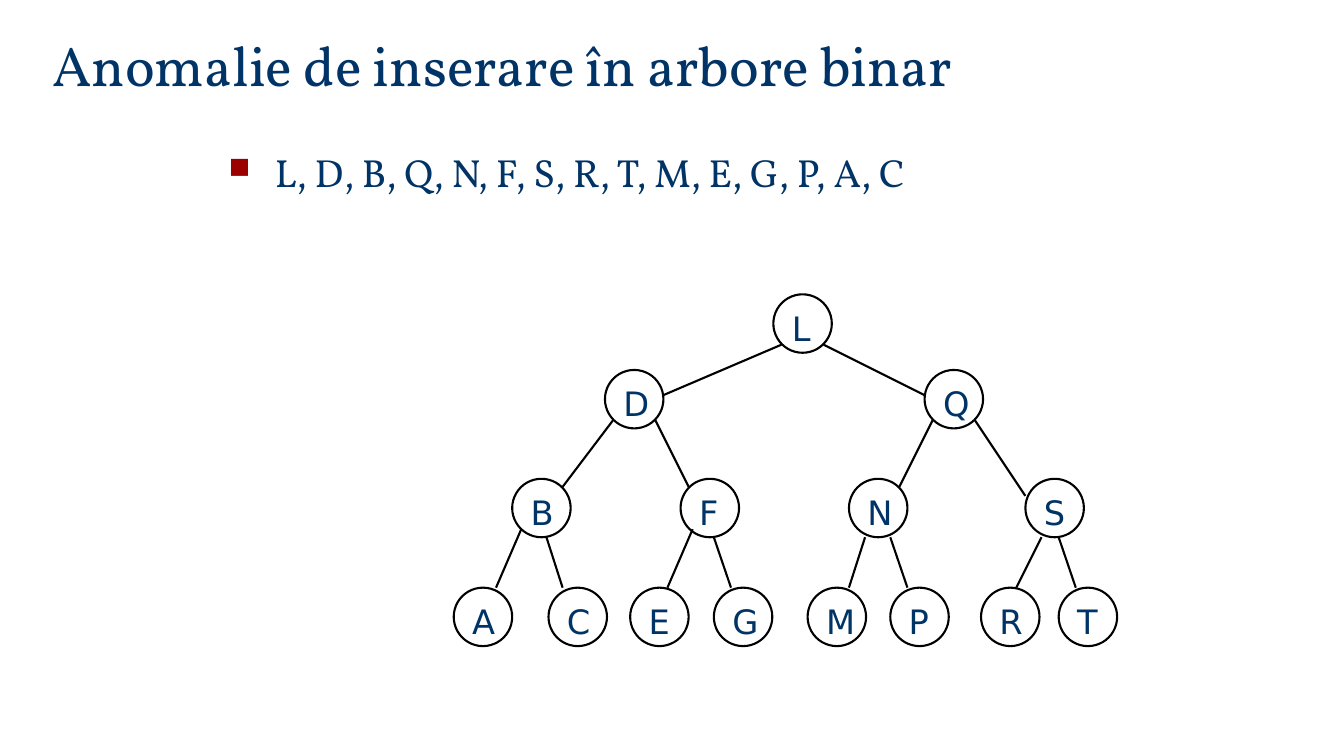
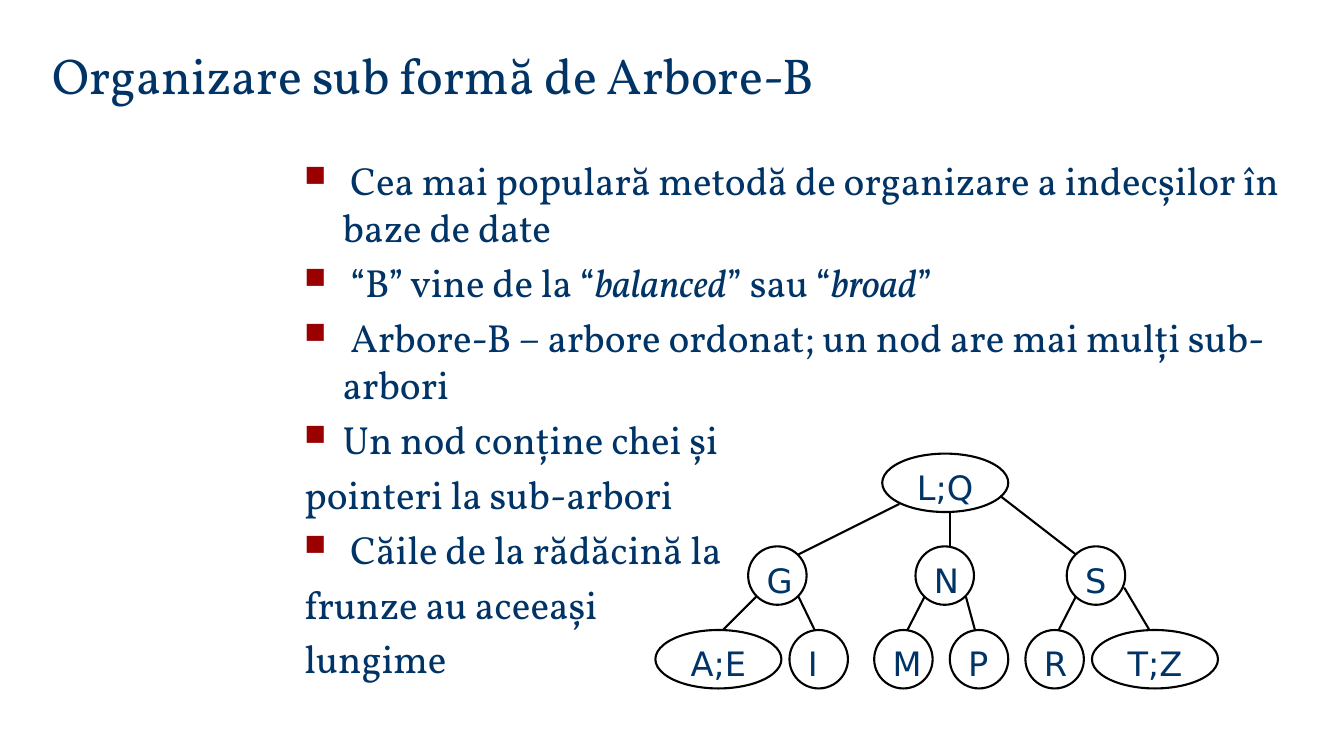
import pptx
import pptx.dml.color
import pptx.enum.shapes
import pptx.enum.text
import pptx.oxml.ns
import pptx.util
import lxml.etree

Inches, Pt = pptx.util.Inches, pptx.util.Pt
ALIGN = pptx.enum.text.PP_ALIGN
ANCHOR = pptx.enum.text.MSO_ANCHOR

# Shared style
NAVY, RED, BLACK, WHITE = "003366", "9A0000", "000000", "FFFFFF"
SERIF, SANS = "Vollkorn", "DejaVu Sans"
BODY_SIZE, NODE_SIZE = 28, 24
NODE_HEIGHT, WIDE_NODE = 0.58, 1.25
INDENT = 0.38

# Content: underscores enclose italics; body lines are (has bullet, text);
# tree rows are (top, [(label, left)]); edges are (start, end)
SLIDES = [
    {
        "title": "Anomalie de inserare în arbore binar",
        "title_size": 40,
        "title_at": (0.42, 0.25, 11.25, 0.77),
        "body_at": (2.17, 1.42, 8.17, 0.67),
        "body": [(True, " L, D, B, Q, N, F, S, R, T, M, E, G, P, A, C")],
        "rows": [
            (2.92, [("L", 7.67)]),
            (3.67, [("D", 6), ("Q", 9.17)]),
            (4.75, [("B", 5.08), ("F", 6.75), ("N", 8.42), ("S", 10.17)]),
            (5.83, [("A", 4.5), ("C", 5.44), ("E", 6.25), ("G", 7.08),
                    ("M", 8.01), ("P", 8.83), ("R", 9.73), ("T", 10.5)]),
        ],
        "edges": [
            ((7.75, 3.42), (6.58, 3.92)), ((8.17, 3.42), (9.17, 3.92)),
            ((6.08, 4.17), (5.58, 4.83)), ((6.5, 4.17), (6.83, 4.83)),
            ((9.25, 4.17), (8.92, 4.83)), ((9.67, 4.17), (10.17, 4.92)),
            ((5.17, 5.25), (4.92, 5.83)), ((5.42, 5.33), (5.58, 5.83)),
            ((6.87, 5.25), (6.62, 5.83)), ((7.08, 5.33), (7.25, 5.83)),
            ((8.58, 5.33), (8.42, 5.83)), ((8.83, 5.33), (9, 5.83)),
            ((10.33, 5.33), (10.08, 5.83)), ((10.5, 5.33), (10.67, 5.83)),
        ],
    },
    {
        "title": "Organizare sub formă de Arbore-B",
        "title_size": 36,
        "title_at": (0.42, 0.38, 10.73, 0.71),
        "body_at": (2.92, 1.5, 9.92, 5.17),
        "body": [
            (True, " Cea mai populară metodă de organizare a indecșilor în baze de date"),
            (True, " “B” vine de la “_balanced_” sau “_broad_”"),
            (True, " Arbore-B – arbore ordonat; un nod are mai mulți sub-arbori"),
            (True, "Un nod conține chei și"),
            (False, "pointeri la sub-arbori"),
            (True, " Căile de la rădăcină la"),
            (False, "frunze au aceeași"),
            (False, "lungime"),
        ],
        "rows": [
            (4.5, [("L;Q", 8.75)]),
            (5.42, [("G", 7.42), ("N", 9.08), ("S", 10.58)]),
            (6.25, [("A;E", 6.5), ("I", 7.83), ("M", 8.67), ("P", 9.42),
                    ("R", 10.17), ("T;Z", 10.83)]),
        ],
        "edges": [
            ((8.92, 5), (7.92, 5.5)), ((9.42, 5.08), (9.42, 5.42)),
            ((9.92, 4.92), (10.67, 5.5)),
            ((7.5, 5.92), (7.17, 6.25)), ((7.92, 5.92), (8.08, 6.25)),
            ((9.17, 5.92), (9, 6.25)), ((9.58, 5.92), (9.67, 6.25)),
            ((10.67, 5.92), (10.5, 6.25)), ((11.15, 5.83), (11.4, 6.25)),
        ],
    },
]


def color(value):
    return pptx.dml.color.RGBColor.from_string(value)


def write(para, text, size=BODY_SIZE, font=SERIF, align=ALIGN.LEFT, before=0):
    """Fill a paragraph, with italics between underscores."""
    para.alignment = align
    para.space_before = Pt(before)
    for index, part in enumerate(text.split("_")):
        span = para.add_run()
        span.text = part
        span.font.size, span.font.name = Pt(size), font
        span.font.color.rgb = color(NAVY)
        if index % 2:
            span.font.italic = True


def add_bullet(para):
    properties = para._p.get_or_add_pPr()
    properties.set("marL", str(Inches(INDENT)))
    properties.set("indent", str(-Inches(INDENT)))

    def child(parent, tag, **attributes):
        return lxml.etree.SubElement(parent, pptx.oxml.ns.qn("a:" + tag), **attributes)

    child(child(properties, "buClr"), "srgbClr", val=RED)
    child(properties, "buSzPct", val="75000")
    child(properties, "buFont", typeface="Wingdings")
    child(properties, "buChar", char="n")


def add_title(page, text, size, place):
    title = page.shapes.title
    title.left, title.top, title.width, title.height = map(Inches, place)
    frame = title.text_frame
    frame.word_wrap = True
    frame.auto_size = pptx.enum.text.MSO_AUTO_SIZE.NONE
    frame.vertical_anchor = ANCHOR.BOTTOM
    write(frame.paragraphs[0], text, size=size)


def add_body(page, lines, place):
    frame = page.shapes.add_textbox(*map(Inches, place)).text_frame
    frame.word_wrap = True
    for index, (bulleted, text) in enumerate(lines):
        para = frame.add_paragraph() if index else frame.paragraphs[0]
        write(para, text, before=BODY_SIZE * 0.2)
        if bulleted:
            add_bullet(para)


def add_node(page, label, left, top):
    wide = len(label) > 1
    node = page.shapes.add_shape(
        pptx.enum.shapes.MSO_SHAPE.OVAL, Inches(left), Inches(top),
        Inches(WIDE_NODE if wide else NODE_HEIGHT), Inches(NODE_HEIGHT))
    node.shadow.inherit = False
    node.fill.solid()
    node.fill.fore_color.rgb = color(WHITE)
    node.line.color.rgb = color(BLACK)
    node.line.width = Pt(1.5)
    # Labels sit slightly below the middle of the node
    frame = node.text_frame
    frame.word_wrap = False
    frame.vertical_anchor = ANCHOR.MIDDLE
    frame.margin_left = Inches(0.1)
    frame.margin_right = Inches(0.1 if wide else 0)
    frame.margin_top, frame.margin_bottom = Inches(0.08), 0
    write(frame.paragraphs[0], label, size=NODE_SIZE, font=SANS,
          align=ALIGN.CENTER if wide else ALIGN.LEFT)


def add_edge(page, start, end):
    edge = page.shapes.add_connector(
        pptx.enum.shapes.MSO_CONNECTOR.STRAIGHT, *map(Inches, start + end))
    edge.line.color.rgb = color(BLACK)
    edge.line.width = Pt(1.5)
    lxml.etree.SubElement(edge._element.spPr, pptx.oxml.ns.qn("a:effectLst"))


# Build the deck
deck = pptx.Presentation()
deck.slide_width, deck.slide_height = Inches(13.33), Inches(7.5)
for content in SLIDES:
    page = deck.slides.add_slide(deck.slide_layouts[5])
    add_title(page, content["title"], content["title_size"], content["title_at"])
    add_body(page, content["body"], content["body_at"])
    for top, nodes in content["rows"]:
        for label, left in nodes:
            add_node(page, label, left, top)
    for start, end in content["edges"]:
        add_edge(page, start, end)
deck.save("out.pptx")
